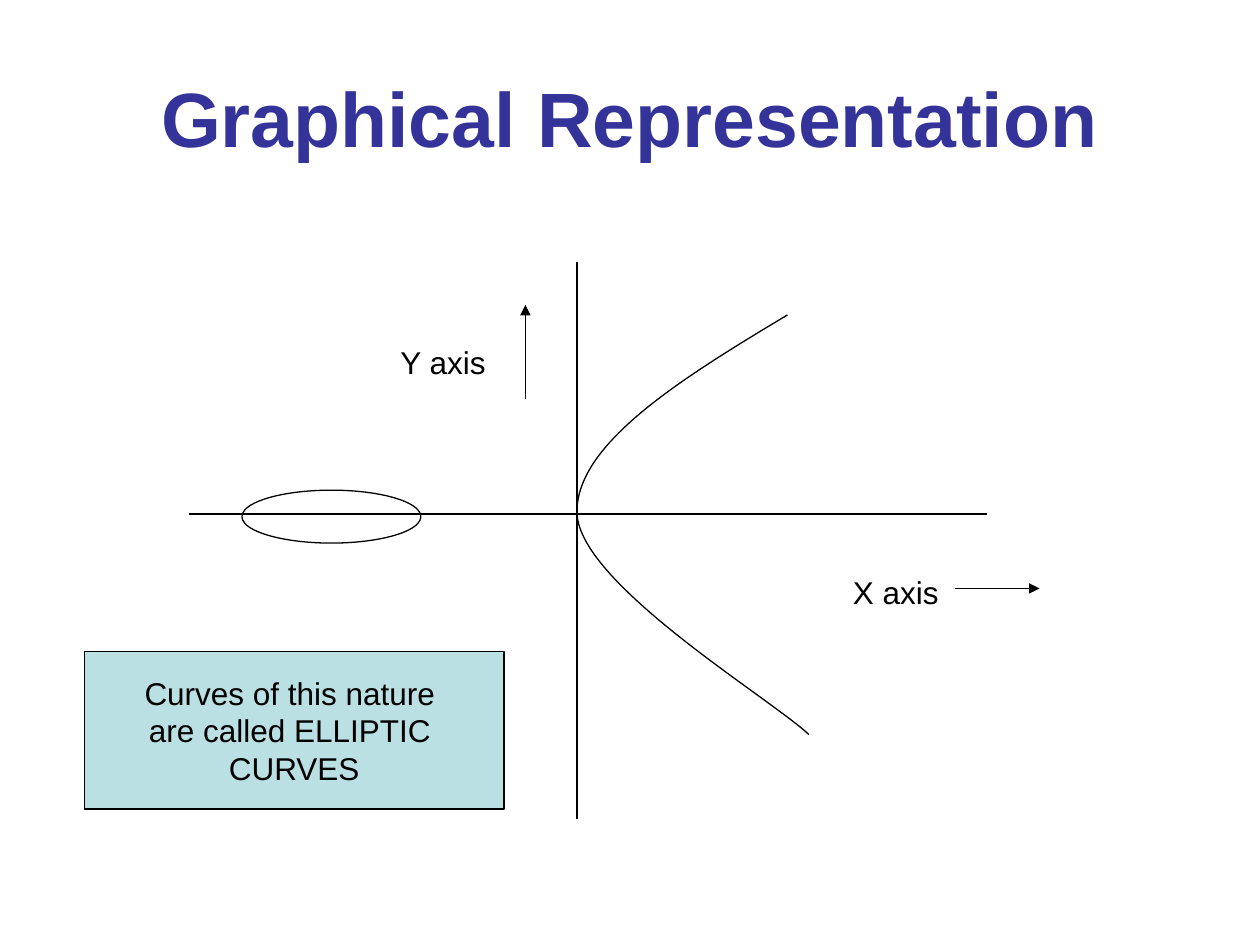
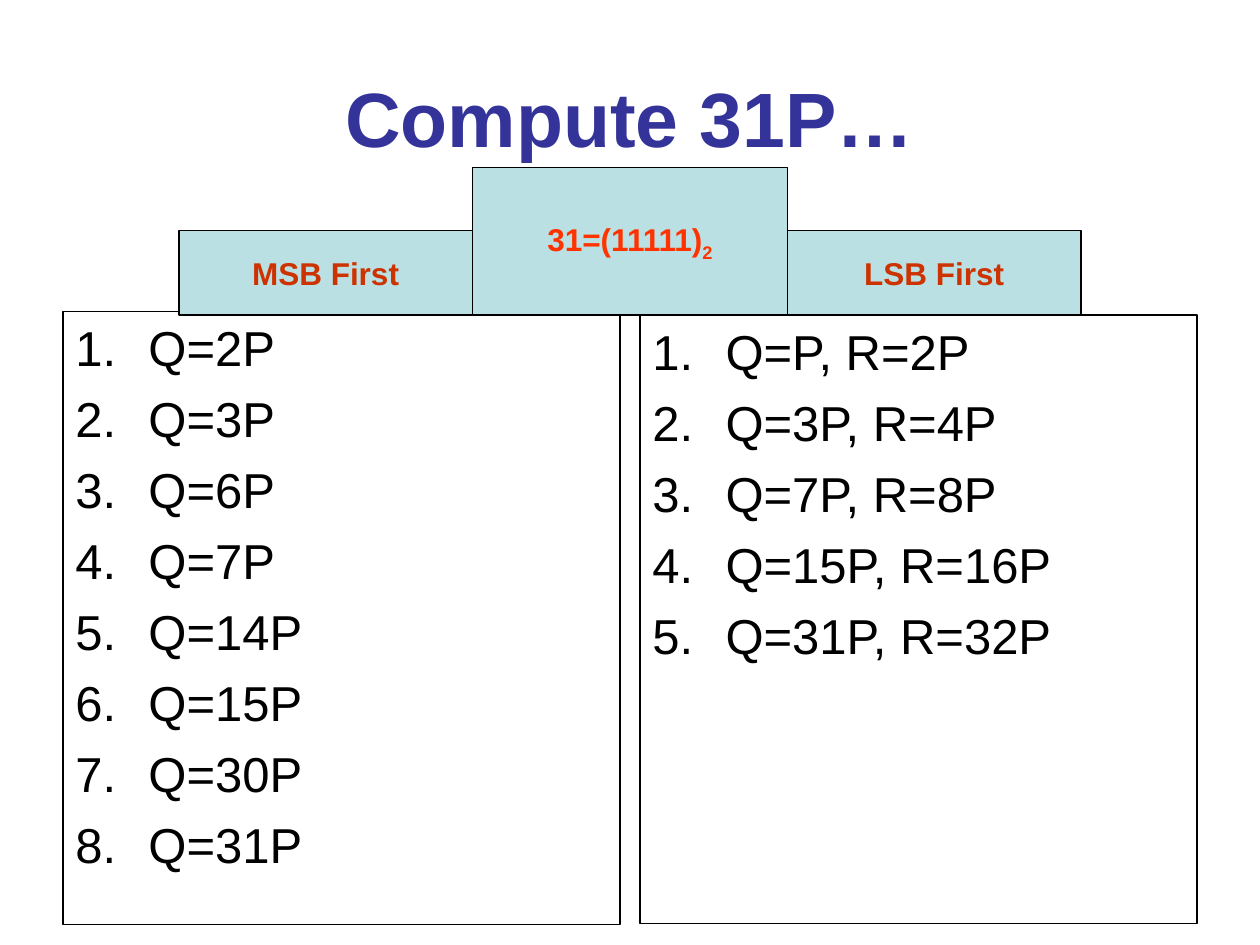
"""Build two slides on elliptic curves: the graph, and two ways to compute 31P."""
import pptx
import pptx.dml.color
import pptx.enum.shapes
import pptx.enum.text
import pptx.oxml
import pptx.oxml.ns
import pptx.util
from pptx.util import Inches

FONT = "Arial"
BLACK, NAVY, PALE, RED, BRICK = "000000", "333399", "BBE0E3", "FF3300", "CC3300"
SHAPE = pptx.enum.shapes.MSO_SHAPE
ALIGN = pptx.enum.text.PP_ALIGN
ANCHOR = pptx.enum.text.MSO_ANCHOR
FIT = pptx.enum.text.MSO_AUTO_SIZE

GRAPH_TITLE = "Graphical Representation"
AXES = [((4.58, 2.08), (4.58, 6.5)), ((1.5, 4.08), (7.83, 4.08))]
ARROWS = [((7.58, 4.67), (8.25, 4.67)), ((4.17, 3.17), (4.17, 2.42))]
AXIS_LABELS = [("X axis", (6.67, 4.5, 1.58, 0.4)), ("Y axis", (3.08, 2.67, 1.17, 0.4))]
OVAL = (1.92, 3.89, 1.42, 0.42)
BRANCHES = [
    ((6.25, 2.5), (5.4, 3.01), (4.56, 3.53), (4.58, 4.08)),
    ((4.58, 4.08), (4.61, 4.64), (6.11, 5.54), (6.42, 5.83)),
]
STEPS_PER_BRANCH = 40
NOTE = ["Curves of this nature ", "are called ELLIPTIC ", "CURVES"]
NOTE_BOX = (0.67, 5.17, 3.33, 1.25)

COMPUTE_TITLE = "Compute 31P…"
METHODS = [
    ((0.5, 2.47, 4.42, 4.87),
     ["Q=2P", "Q=3P", "Q=6P", "Q=7P", "Q=14P", "Q=15P", "Q=30P", "Q=31P"]),
    ((5.08, 2.5, 4.42, 4.83),
     ["Q=P, R=2P", "Q=3P, R=4P", "Q=7P, R=8P", "Q=15P, R=16P", "Q=31P, R=32P"]),
]
HEADINGS = [
    ("31=(11111)_2", (3.75, 1.33, 2.5, 1.17), RED),
    ("MSB First", (1.42, 1.83, 2.33, 0.67), BRICK),
    ("LSB First", (6.25, 1.83, 2.33, 0.67), BRICK),
]


def rgb(color):
    """Turn a hex string into a colour."""
    return pptx.dml.color.RGBColor.from_string(color)


def inches(values):
    """Turn numbers into lengths."""
    return [Inches(v) for v in values]


def write(tf, lines, size=18, color=BLACK, bold=False, align=ALIGN.LEFT,
          anchor=ANCHOR.TOP, before=0, wrap=True, fit=FIT.NONE, numbered=False):
    """Fill a text frame, one paragraph a line; an underscore starts a subscript."""
    tf.word_wrap, tf.auto_size, tf.vertical_anchor = wrap, fit, anchor
    for i, line in enumerate(lines):
        p = tf.add_paragraph() if i else tf.paragraphs[0]
        p.alignment = align
        p.space_before = pptx.util.Pt(before)
        for level, text in enumerate(line.split("_")):
            r = p.add_run()
            r.text = text
            r.font.name, r.font.size, r.font.bold = FONT, pptx.util.Pt(size), bold
            r.font.color.rgb = rgb(color)
            if level:
                r.font._element.set("baseline", "-25000")
        if numbered:
            pPr = p._p.get_or_add_pPr()
            pPr.set("marL", str(Inches(0.58)))
            pPr.set("indent", str(-Inches(0.58)))
            add_xml(pPr, "buAutoNum", type="arabicPeriod")


def add_xml(parent, tag, **attributes):
    """Append an empty drawing element."""
    child = pptx.oxml.parse_xml(f"<a:{tag} {pptx.oxml.ns.nsdecls('a')}/>")
    for name, value in attributes.items():
        child.set(name, value)
    parent.append(child)


def outline(sp):
    """Give a shape or a connector the thin black line."""
    sp.line.color.rgb = rgb(BLACK)
    sp.line.width = pptx.util.Pt(0.75)


def style(sp, fill=None):
    """Outline a shape and fill it or leave it clear."""
    sp.shadow.inherit = False
    outline(sp)
    if fill:
        sp.fill.solid()
        sp.fill.fore_color.rgb = rgb(fill)
    else:
        sp.fill.background()


def add_box(s, at, fill=None, kind=SHAPE.RECTANGLE):
    """Add an outlined preset shape."""
    sp = s.shapes.add_shape(kind, *inches(at))
    style(sp, fill)
    return sp


def add_panel(s, at, lines, **form):
    """Add a pale box with centred text."""
    write(add_box(s, at, PALE).text_frame, lines, align=ALIGN.CENTER,
          anchor=ANCHOR.MIDDLE, wrap=False, **form)


def add_line(s, start, end, arrow=False):
    """Add a straight line, with an arrowhead at its end if asked."""
    kind = pptx.enum.shapes.MSO_CONNECTOR.STRAIGHT
    sp = s.shapes.add_connector(kind, *inches(start + end))
    outline(sp)
    if arrow:
        add_xml(sp.line._get_or_add_ln(), "tailEnd", type="triangle")
    add_xml(sp._element.spPr, "effectLst")


def bezier(a, b, c, d, t):
    """Return the point at t on a cubic curve."""
    u = 1 - t
    return [Inches(u**3 * i + 3 * u * u * t * j + 3 * u * t * t * k + t**3 * m)
            for i, j, k, m in zip(a, b, c, d)]


def add_curve(s, branches):
    """Draw joined cubic curves as one open outline."""
    points = [bezier(*branch, n / STEPS_PER_BRANCH)
              for branch in branches for n in range(1, STEPS_PER_BRANCH + 1)]
    builder = s.shapes.build_freeform(*inches(branches[0][0]))
    builder.add_line_segments(points, close=False)
    style(builder.convert_to_shape())


def add_slide(prs, title):
    """Add a slide with the shared title style."""
    s = prs.slides.add_slide(prs.slide_layouts[5])
    sp = s.shapes.title
    sp.left, sp.top, sp.width, sp.height = inches((0.5, 0.3, 9, 1.25))
    write(sp.text_frame, [title], size=44, color=NAVY, bold=True,
          align=ALIGN.CENTER, anchor=ANCHOR.MIDDLE)
    return s


def build_graph(prs):
    """Draw the axes, the curve and its note."""
    s = add_slide(prs, GRAPH_TITLE)
    for start, end in AXES:
        add_line(s, start, end)
    add_box(s, OVAL, kind=SHAPE.OVAL)
    add_curve(s, BRANCHES)
    for text, at in AXIS_LABELS:
        sp = s.shapes.add_textbox(*inches(at))
        write(sp.text_frame, [text], before=11.2, fit=FIT.SHAPE_TO_FIT_TEXT)
    for start, end in ARROWS:
        add_line(s, start, end, arrow=True)
    add_panel(s, NOTE_BOX, NOTE)


def build_compute(prs):
    """List the steps of both methods under their headings."""
    s = add_slide(prs, COMPUTE_TITLE)
    for at, steps in METHODS:
        write(add_box(s, at).text_frame, steps, size=28, before=7, numbered=True)
    for text, at, color in HEADINGS:
        add_panel(s, at, [text], color=color, bold=True)


def main():
    """Build and save the presentation."""
    prs = pptx.Presentation()
    prs.slide_width, prs.slide_height = inches((10, 7.5))
    build_graph(prs)
    build_compute(prs)
    prs.save("out.pptx")


if __name__ == "__main__":
    main()
